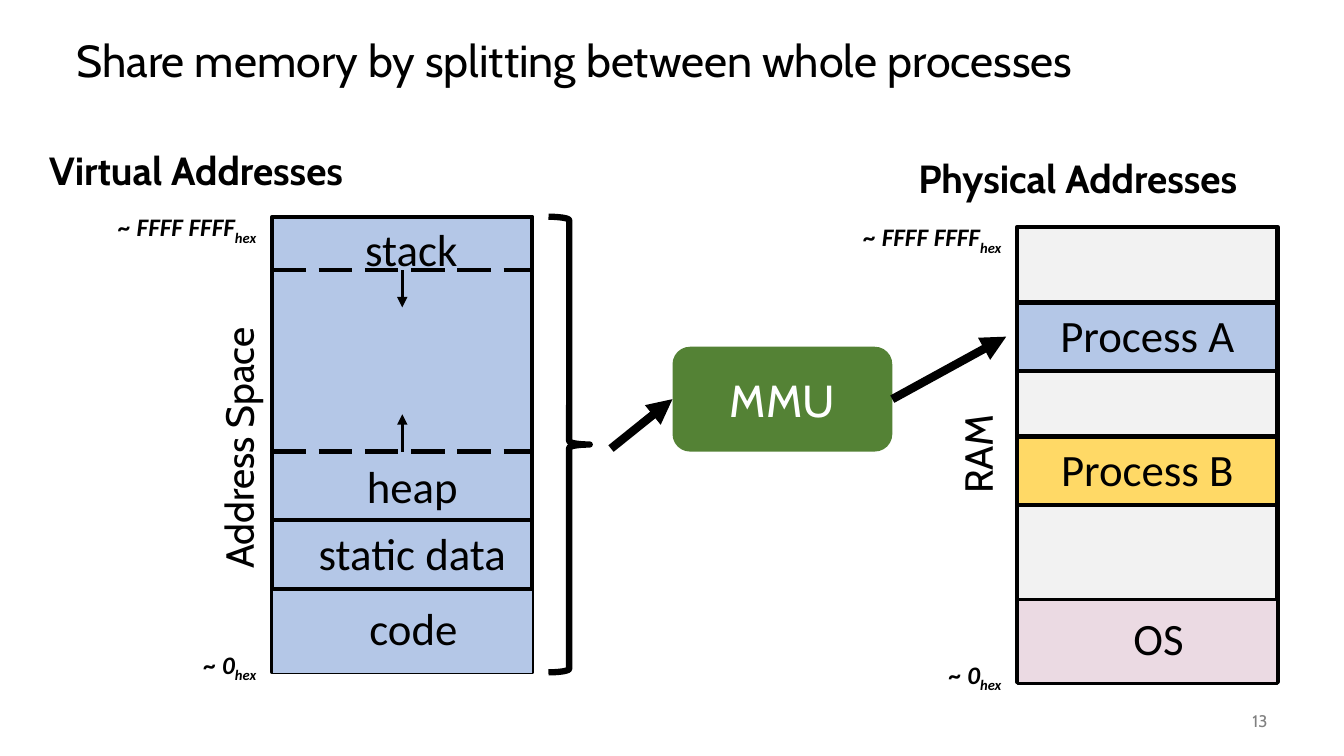
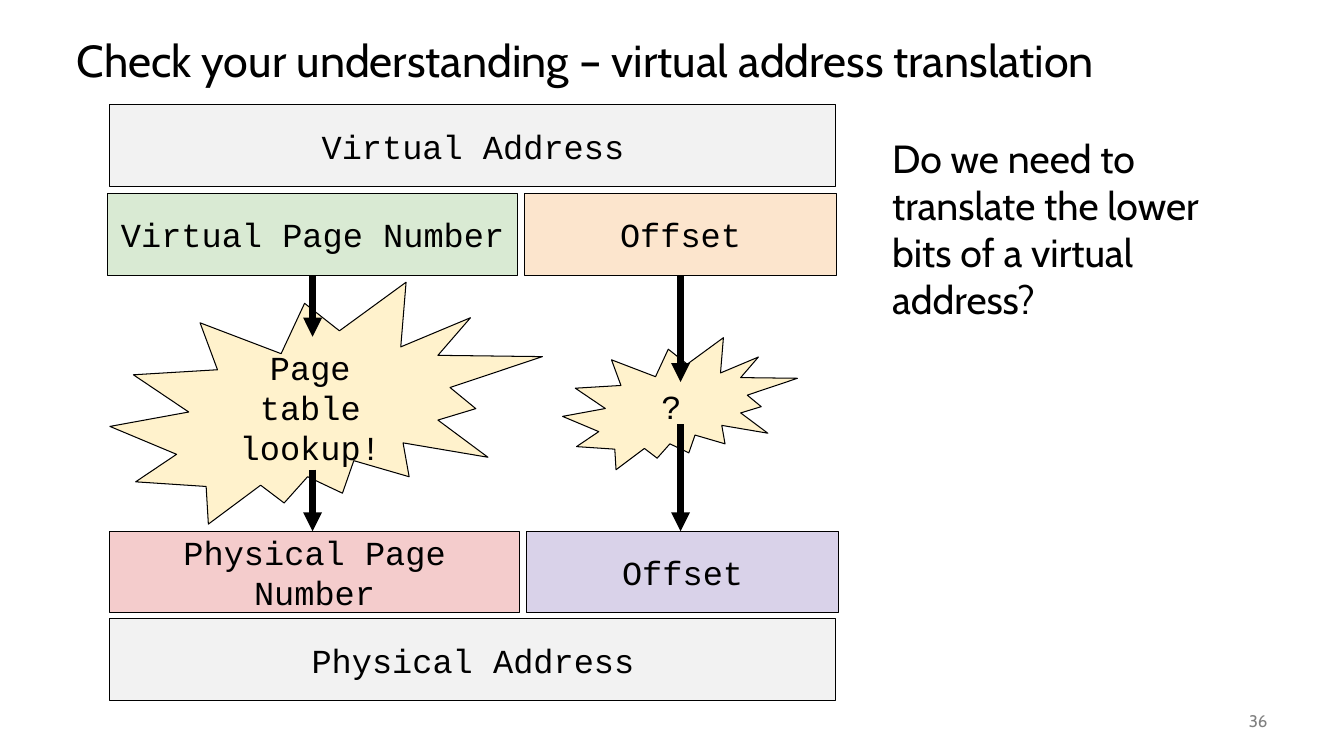
from lxml import etree
from pptx import Presentation
from pptx.dml.color import RGBColor
from pptx.enum.dml import MSO_LINE
from pptx.enum.shapes import MSO_CONNECTOR, MSO_SHAPE
from pptx.enum.text import MSO_ANCHOR, PP_ALIGN
from pptx.oxml.ns import qn
from pptx.util import Pt

SCALE = 9144
LEFT, MID, RIGHT = PP_ALIGN.LEFT, PP_ALIGN.CENTER, PP_ALIGN.RIGHT
TOP, CENTER = MSO_ANCHOR.TOP, MSO_ANCHOR.MIDDLE
RECT, ROUND = MSO_SHAPE.RECTANGLE, MSO_SHAPE.ROUNDED_RECTANGLE
BRACE, BURST = MSO_SHAPE.RIGHT_BRACE, MSO_SHAPE.EXPLOSION2
STRAIGHT, DASH = MSO_CONNECTOR.STRAIGHT, MSO_LINE.LONG_DASH
SANS, LABEL, MONO = "Cabin", "Calibri", "Courier New"

BLACK = RGBColor(0x00, 0x00, 0x00)
WHITE = RGBColor(0xFF, 0xFF, 0xFF)
GRAY = RGBColor(0x80, 0x80, 0x80)
PALE = RGBColor(0xF2, 0xF2, 0xF2)
BLUE = RGBColor(0xB4, 0xC7, 0xE7)
PINK = RGBColor(0xEB, 0xDA, 0xE3)
GOLD = RGBColor(0xFF, 0xD9, 0x66)
GREEN = RGBColor(0x54, 0x82, 0x35)
CREAM = RGBColor(0xFF, 0xF2, 0xCC)
MINT = RGBColor(0xD9, 0xEA, 0xD3)
PEACH = RGBColor(0xFC, 0xE5, 0xCD)
ROSE = RGBColor(0xF4, 0xCC, 0xCC)
LILAC = RGBColor(0xD9, 0xD2, 0xE9)


def emu(*sizes):
    """Turn px lengths into EMU."""
    return [size * SCALE for size in sizes]


def write(shape, text, size, font=SANS, color=BLACK, align=LEFT, anchor=TOP, bold=False):
    """Set and style the one paragraph of a shape."""
    frame = shape.text_frame
    frame.word_wrap = True
    frame.vertical_anchor = anchor
    para = frame.paragraphs[0]
    para.text = text
    para.alignment = align
    for run in para.runs:
        run.font.name = font
        run.font.size = Pt(size)
        run.font.bold = bold
        run.font.color.rgb = color
    return para


def label(slide, box, text, size, **style):
    """Add a text box and return its paragraph."""
    return write(slide.shapes.add_textbox(*emu(*box)), text, size, **style)


def block(slide, kind, box, fill=None, weight=0):
    """Add a preset shape with an optional fill and black line."""
    shape = slide.shapes.add_shape(kind, *emu(*box))
    shape.shadow.inherit = False
    if fill is None:
        shape.fill.background()
    else:
        shape.fill.solid()
        shape.fill.fore_color.rgb = fill
    if weight:
        shape.line.color.rgb = BLACK
        shape.line.width = Pt(weight)
    else:
        shape.line.fill.background()
    return shape


def stroke(slide, start, end, weight):
    """Add a plain black line."""
    line = slide.shapes.add_connector(STRAIGHT, *emu(*start, *end))
    line.line.color.rgb = BLACK
    line.line.width = Pt(weight)
    etree.SubElement(line._element.spPr, qn("a:effectLst"))
    return line


def arrow(slide, start, end, weight):
    """Add a line with a triangle at its end."""
    line = stroke(slide, start, end, weight)
    tail = etree.SubElement(line.line._get_or_add_ln(), qn("a:tailEnd"))
    tail.set("type", "triangle")


def start(deck, title, number):
    """Add a slide with its title and number."""
    slide = deck.slides.add_slide(deck.slide_layouts[6])
    para = label(slide, (66, 25, 1200, 75), title, 32, anchor=CENTER)
    para.line_spacing = 0.9
    label(slide, (1167, 695, 100, 40), number, 12, color=GRAY, align=RIGHT, anchor=CENTER)
    return slide


def limit(slide, right, top, text):
    """Add an address bound with a hex subscript."""
    para = label(slide, (right - 198, top, 198, 36), text, 18, font=LABEL, align=RIGHT, bold=True)
    base = para.runs[0]
    base.font.italic = True
    sub = para.add_run()
    sub.text = "hex"
    sub.font.name = LABEL
    sub.font.size = Pt(18)
    sub.font.bold = sub.font.italic = True
    sub.font.color.rgb = BLACK
    sub.font._element.set("baseline", "-25000")


def column(slide, box, fill, slots, names):
    """Draw a memory column with its slots, names and bounds."""
    x, y, width, height = box
    block(slide, RECT, box, fill, 3)
    for top, tall, color, weight in slots:
        block(slide, RECT, (x, y + top, width, tall), color, weight)
    for text, shift, top in names:
        spot = (x + 20 + shift, y + top, width - 40, 58)
        label(slide, spot, text, 32, font=LABEL, align=MID)
    limit(slide, x - 6, y - 10, "~ FFFF FFFF")
    limit(slide, x - 6, y + height - 28, "~ 0")


def heading(slide, x, y, text):
    """Add a bold column heading."""
    label(slide, (x, y, 393, 57), text, 28, bold=True)


def side(slide, x, y, text):
    """Add a label that reads upward."""
    shape = slide.shapes.add_textbox(*emu(x, y, 393, 57))
    write(shape, text, 28, align=MID)
    shape.rotation = 270


def virtual(slide, box):
    """Draw the virtual address column and its brace."""
    x, y, width, height = box
    slots = [(370, 83, BLUE, 1), (301, 68, BLUE, 3)]
    names = [("code", 11, 376), ("static data", 10, 302), ("heap", 10, 235), ("stack", 9, 0)]
    column(slide, box, BLUE, slots, names)
    for edge, move in ((233, -37), (53, 37)):
        stroke(slide, (x, y + edge), (x + width, y + edge), 3).line.dash_style = DASH
        mid = x + width // 2
        arrow(slide, (mid, y + edge), (mid, y + edge + move), 2.5)
    heading(slide, x - 231, y - 75, "Virtual Addresses")
    side(slide, x - 230, y + 201, "Address Space")
    block(slide, BRACE, (x + 274, y, 41, height), weight=4.5)


def physical(slide, box):
    """Draw the physical address column."""
    x, y = box[:2]
    slots = [(370, 83, PINK, 2.25), (75, 68, BLUE, 3), (208, 68, GOLD, 3)]
    names = [("OS", 11, 376), ("Process A", 0, 75), ("Process B", 0, 208)]
    column(slide, box, PALE, slots, names)
    heading(slide, x - 108, y - 77, "Physical Addresses")
    side(slide, x - 236, y + 197, "RAM")


def unit(slide, box):
    """Draw the MMU with the arrows in and out."""
    x, y, width, height = box
    mid = y + height // 2
    shape = block(slide, ROUND, box, GREEN)
    write(shape, "MMU", 32, color=WHITE, align=MID, anchor=CENTER)
    arrow(slide, (x - 61, mid + 49), (x, mid), 6)
    arrow(slide, (x + width, mid), (x + 331, mid - 62), 6)


def cell(slide, kind, box, fill, text):
    """Draw an outlined shape with monospace text."""
    shape = block(slide, kind, box, fill, 0.75)
    frame = shape.text_frame
    frame.margin_top = frame.margin_bottom = 10 * SCALE
    write(shape, text, 24, font=MONO, align=MID, anchor=CENTER)


def pair(slide, x, y, parts):
    """Draw a page number next to an offset."""
    for width, fill, text in parts:
        cell(slide, RECT, (x, y, width, 81), fill, text)
        x += width + 7


def lookup(slide, box):
    """Draw the translation from virtual to physical address."""
    x, y, width, height = box
    base = y + height - 81
    cell(slide, RECT, (x, y, width, 81), PALE, "Virtual Address")
    pair(slide, x - 2, y + 88, [(406, MINT, "Virtual Page Number"), (310, PEACH, "Offset")])
    pair(slide, x, base - 87, [(406, ROSE, "Physical Page Number"), (310, LILAC, "Offset")])
    cell(slide, RECT, (x, base, width, 81), PALE, "Physical Address")
    cell(slide, BURST, (x + 449, y + 231, 233, 131), CREAM, "?")
    cell(slide, BURST, (x, y + 176, 429, 240), CREAM, "Page table lookup!")
    for shift, length in ((201, 61), (566, 106)):
        for top in (y + 169, base - 87 - length):
            arrow(slide, (x + shift, top), (x + shift, top + length), 4.5)


def main():
    """Build and save both slides."""
    deck = Presentation()
    deck.slide_width, deck.slide_height = emu(1333, 750)
    slide = start(deck, "Share memory by splitting between whole processes", "13")
    virtual(slide, (270, 215, 258, 452))
    physical(slide, (1009, 225, 258, 452))
    unit(slide, (667, 344, 218, 104))
    slide = start(deck, "Check your understanding – virtual address translation", "36")
    lookup(slide, (109, 104, 720, 591))
    question = "Do we need to translate the lower bits of a virtual address?"
    label(slide, (875, 128, 342, 199), question, 28)
    deck.save("out.pptx")


if __name__ == "__main__":
    main()
